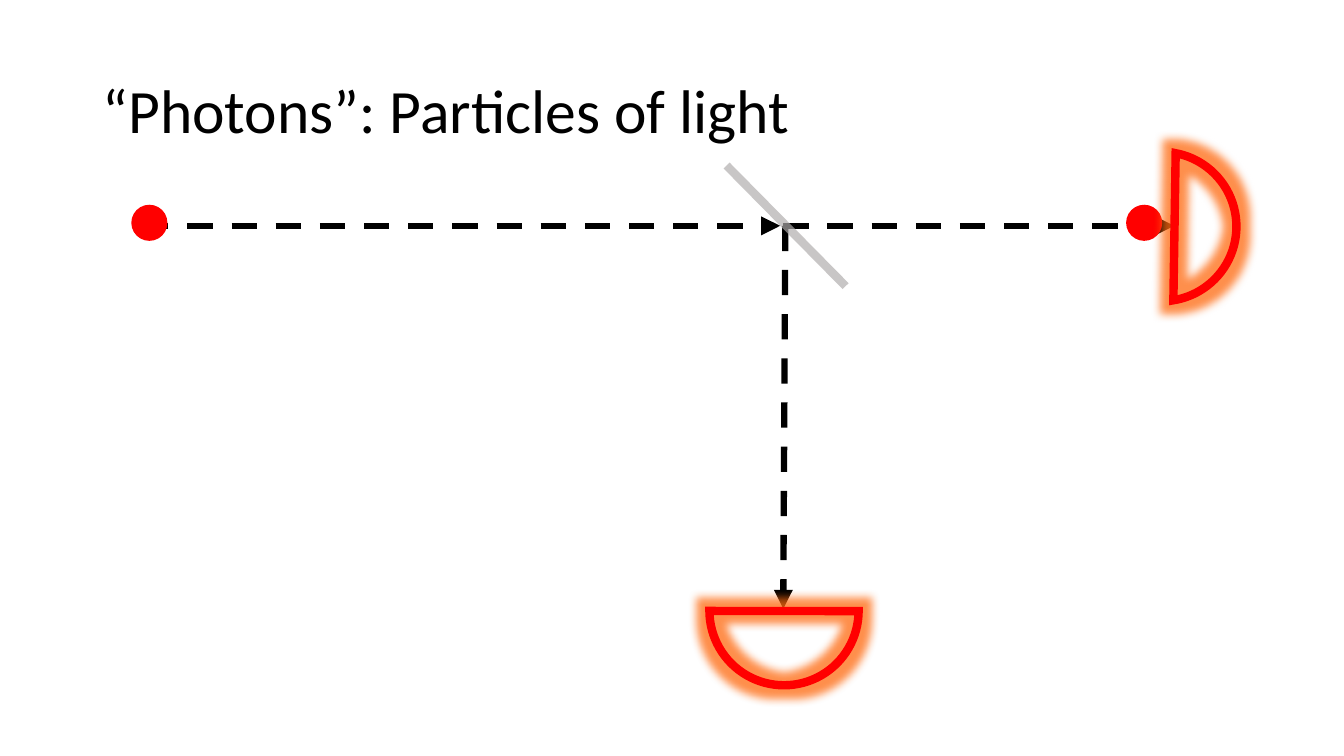
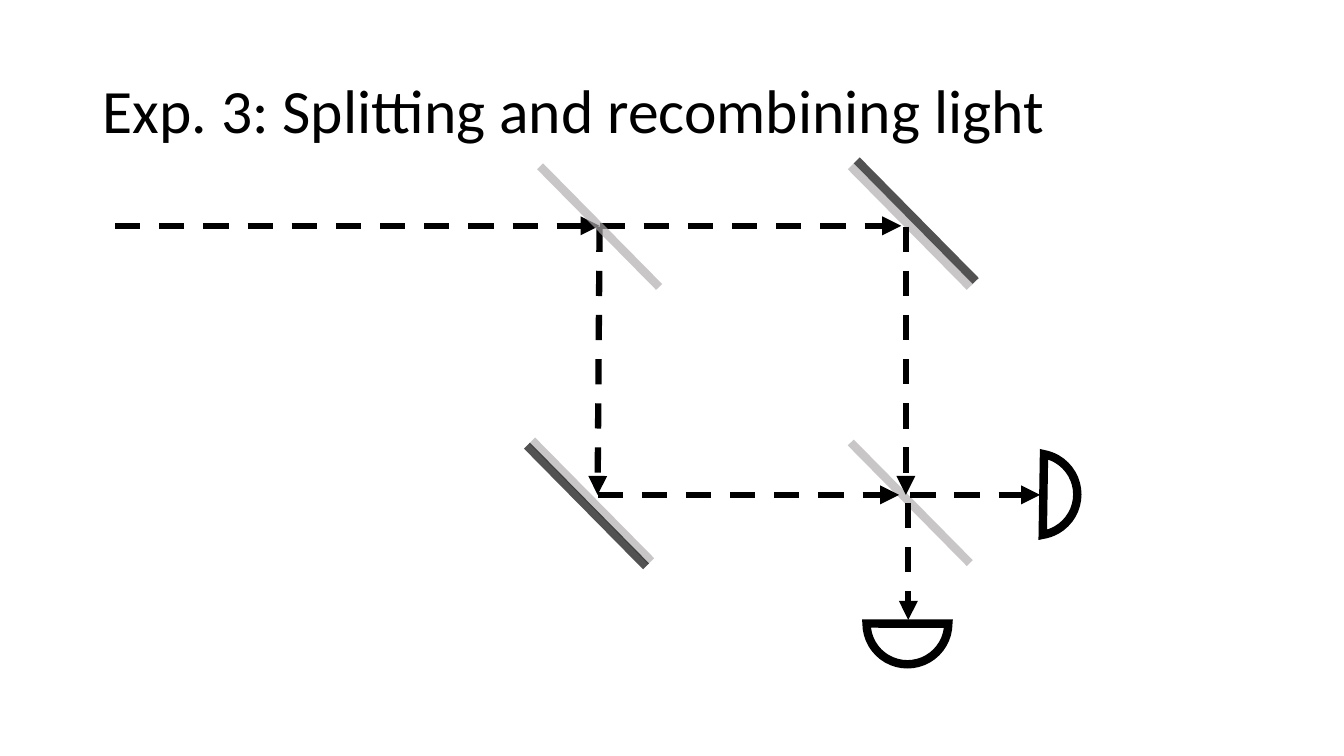
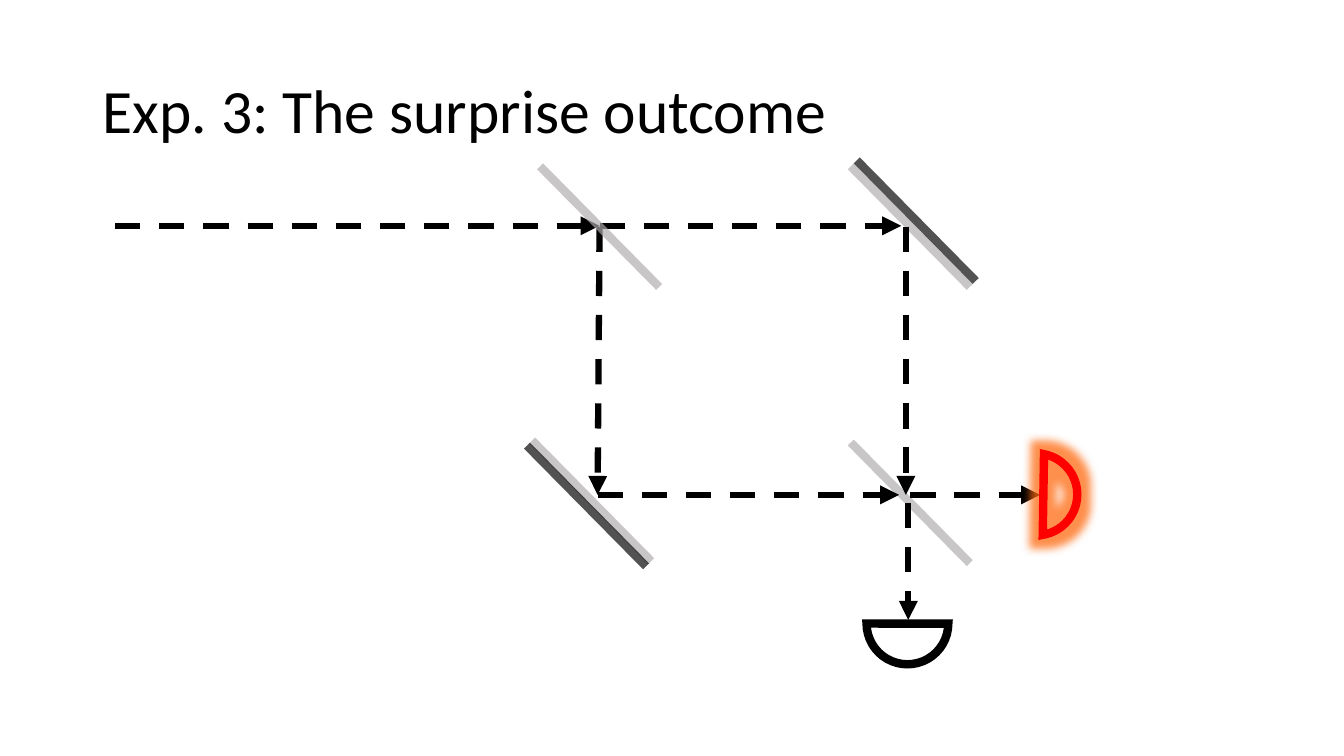
from dataclasses import dataclass

from lxml import etree
from pptx import Presentation
from pptx.dml.color import RGBColor
from pptx.enum.dml import MSO_LINE
from pptx.enum.shapes import MSO_CONNECTOR, MSO_SHAPE
from pptx.enum.text import MSO_ANCHOR, PP_ALIGN
from pptx.oxml.ns import qn
from pptx.util import Cm, Pt

DASH = MSO_LINE.DASH
STRAIGHT = MSO_CONNECTOR.STRAIGHT
CHORD, OVAL = MSO_SHAPE.CHORD, MSO_SHAPE.OVAL
MIDDLE, LEFT = MSO_ANCHOR.MIDDLE, PP_ALIGN.LEFT


@dataclass(frozen=True)
class Theme:
    font: str = "Calibri"
    ink: str = "000000"
    glass: str = "AFABAB"
    hot: str = "FF0000"
    glow: str = "FF6A10"
    title: int = 44
    beam: float = 4.5
    edge: int = 6
    clear: int = 67
    halo: int = 75


THEME = Theme()
TITLE_BOX = (2.33, 1.02, 29.21, 3.68)
PLATE = (3, 3.04)
DOT = 0.91
RADIUS = 0.45
ARCS = {"down": (0.3, 179.8), "right": (280.7, 81.1)}

SPLIT = [
    ("beam", (3.61, 5.69), (19.66, 5.69)),
    ("beam", (19.74, 5.69), (29.59, 5.69)),
    ("beam", (19.79, 5.69), (19.74, 15.34)),
    ("plate", (18.31, 4.17), THEME.glass),
    ("dot", (3.31, 5.16)),
    ("dot", (28.38, 5.16)),
    ("sensor", (17.88, 13.51), 3.76, "down", True),
    ("sensor", (27.4, 3.83), 3.76, "right", True),
]

MERGE = [
    ("sensor", (21.84, 14.68), 2.06, "down", False),
    ("beam", (2.9, 5.69), (15.11, 5.69)),
    ("beam", (15.11, 5.69), (22.71, 5.69)),
    ("beam", (15.11, 5.71), (15.06, 12.47)),
    ("plate", (13.61, 4.19), THEME.glass),
    ("plate", (21.44, 11.15), THEME.glass),
    ("plate", (21.44, 4.19), THEME.glass),
    ("beam", (22.94, 12.47), (26.21, 12.47)),
    ("beam", (22.83, 5.71), (22.83, 12.47)),
    ("beam", (22.89, 12.67), (22.89, 15.62)),
    ("plate", (21.59, 4.04), THEME.ink),
    ("plate", (13.41, 11.1), THEME.glass),
    ("plate", (13.28, 11.23), THEME.ink),
    ("beam", (15.06, 12.47), (22.66, 12.47)),
]


def exit_sensor(lit):
    return ("sensor", (25.09, 11.43), 2.06, "right", lit)


SLIDES = [
    ("“Photons”: Particles of light", SPLIT),
    ("Exp. 3: Splitting and recombining light", MERGE + [exit_sensor(False)]),
    ("Exp. 3: The surprise outcome", MERGE + [exit_sensor(True)]),
]


def cms(*sizes):
    return [Cm(size) for size in sizes]


def child(node, tag, **attrs):
    return etree.SubElement(node, qn(tag), attrs)


def fade(node, share):
    child(node, "a:alpha", val=str(share * 1000))


def stroke(shape, color, width):
    shape.line.color.rgb = RGBColor.from_string(color)
    shape.line.width = Pt(width)
    return shape.line


def draw_line(slide, start, end, color, width):
    link = slide.shapes.add_connector(STRAIGHT, *cms(*start, *end))
    line = stroke(link, color, width)
    child(link._element.spPr, "a:effectLst")
    return line, link._element.spPr.find(qn("a:ln"))


def beam(slide, start, end):
    line, node = draw_line(slide, start, end, THEME.ink, THEME.beam)
    line.dash_style = DASH
    child(node, "a:tailEnd", type="triangle")


def plate(slide, start, color):
    end = [a + b for a, b in zip(start, PLATE)]
    node = draw_line(slide, start, end, color, THEME.edge)[1]
    fade(node.find(".//" + qn("a:srgbClr")), THEME.clear)


def draw_shape(slide, kind, spot, size):
    shape = slide.shapes.add_shape(kind, *cms(*spot, size, size))
    shape.shadow.inherit = False
    return shape


def dot(slide, spot):
    shape = draw_shape(slide, OVAL, spot, DOT)
    shape.fill.solid()
    shape.fill.fore_color.rgb = RGBColor.from_string(THEME.hot)
    shape.line.fill.background()


def sensor(slide, spot, size, side, lit):
    shape = draw_shape(slide, CHORD, spot, size)
    for index, angle in enumerate(ARCS[side]):
        shape.adjustments[index] = angle * 0.6
    shape.fill.background()
    stroke(shape, THEME.hot if lit else THEME.ink, THEME.edge)
    props = shape._element.spPr
    child(props.find(qn("a:ln")), "a:miter", lim="800000")
    if lit:
        glow = child(props.find(qn("a:effectLst")), "a:glow", rad=str(Cm(RADIUS)))
        fade(child(glow, "a:srgbClr", val=THEME.glow), THEME.halo)


def set_title(slide, text):
    title = slide.shapes.title
    title.left, title.top, title.width, title.height = cms(*TITLE_BOX)
    frame = title.text_frame
    frame.word_wrap = True
    frame.vertical_anchor = MIDDLE
    para = frame.paragraphs[0]
    para.alignment = LEFT
    para.line_spacing = 0.9
    run = para.add_run()
    run.text = text
    run.font.name = THEME.font
    run.font.size = Pt(THEME.title)
    run.font.color.rgb = RGBColor.from_string(THEME.ink)


DRAW = {"beam": beam, "plate": plate, "dot": dot, "sensor": sensor}


def main():
    deck = Presentation()
    deck.slide_width, deck.slide_height = cms(33.87, 19.05)
    layout = deck.slide_layouts.get_by_name("Title Only")
    for text, parts in SLIDES:
        slide = deck.slides.add_slide(layout)
        set_title(slide, text)
        for kind, *args in parts:
            DRAW[kind](slide, *args)
    deck.save("out.pptx")


if __name__ == "__main__":
    main()
